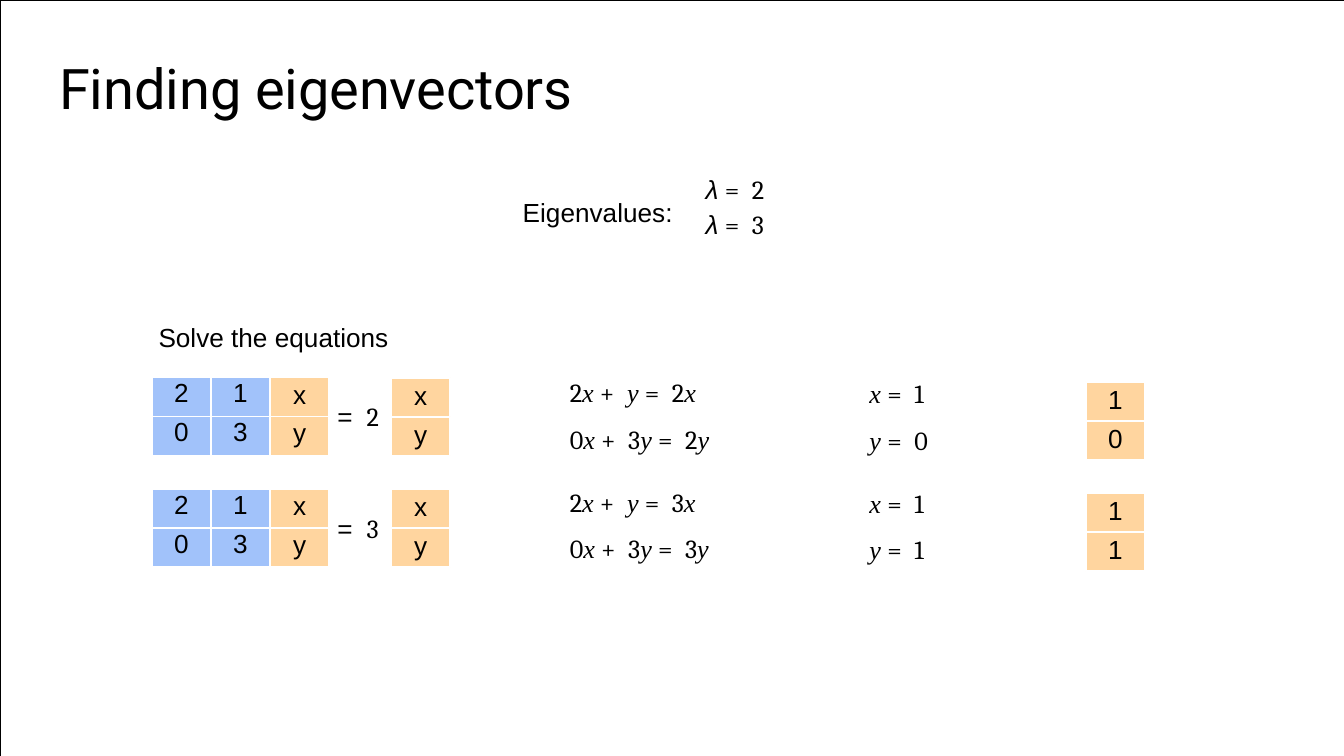
from lxml import etree
from pptx import Presentation
from pptx.dml.color import RGBColor
from pptx.enum import shapes, text
from pptx.oxml import ns
from pptx.util import Inches, Pt

BLACK = RGBColor(0x00, 0x00, 0x00)
WHITE = RGBColor(0xFF, 0xFF, 0xFF)
BLUE = RGBColor(0xA1, 0xC2, 0xFA)
ORANGE = RGBColor(0xFF, 0xD5, 0x9F)

# Content
TITLE = "Finding eigenvectors"
LABELS = [("Eigenvalues:", 3.88, 1.44, 1.14), ("Solve the equations", 1.17, 2.37, 1.74)]
EIGENVALUES = ["λ = 2", "λ = 3"]
MATRIX = [["2", "1", "x"], ["0", "3", "y"]]
UNKNOWNS = ["x", "y"]
CASES = [
    {"scale": "= 2", "equations": ["2x + y = 2x", "0x + 3y = 2y"],
     "solution": ["x = 1", "y = 0"], "vector": ["1", "0"]},
    {"scale": "= 3", "equations": ["2x + y = 3x", "0x + 3y = 3y"],
     "solution": ["x = 1", "y = 1"], "vector": ["1", "1"]},
]

# Grid of the two cases, in inches
CASE_TOP, CASE_PITCH = 2.81, 0.83
CELL_WIDTH, CELL_HEIGHT = 0.44, 0.29
SIZE = 14


def set_font(font, name, size=SIZE):
    font.name = name
    font.size = Pt(size)
    font.color.rgb = BLACK


def set_spacing(run, points):
    run._r.get_or_add_rPr().set("spc", str(round(points * 100)))


def add_box(slide, left, top, width, height, top_inset=0.02):
    frame = slide.shapes.add_textbox(
        Inches(left), Inches(top), Inches(width), Inches(height)).text_frame
    frame.word_wrap = False
    frame.margin_left, frame.margin_top = Inches(0.01), Inches(top_inset)
    frame.margin_right = frame.margin_bottom = 0
    return frame


def add_label(slide, wording, left, top, width):
    paragraph = add_box(slide, left, top, width, 0.26).paragraphs[0]
    paragraph.text = wording
    set_font(paragraph.font, "Arial")


def add_math(paragraph, formula, operator_font="Cambria"):
    """Set letters italic, digits upright and operators widely spaced."""
    tokens = []
    for character in formula:
        if character == " ":
            tokens[-1] += character
        else:
            tokens.append(character)
    for token in tokens:
        symbol = token[0]
        if symbol == "λ":
            name, spacing = "Arial", -0.5
        elif symbol.isalpha():
            name, spacing = "Times New Roman", -0.2
        elif symbol.isdigit():
            name, spacing = "Cambria", -0.2
        else:
            name, spacing = operator_font, 1.8
        run = paragraph.add_run()
        run.text = token
        set_font(run.font, name)
        run.font.italic = symbol.isalpha()
        set_spacing(run, spacing)
    paragraph.font.size = Pt(SIZE)


def next_paragraph(frame, index):
    return frame.add_paragraph() if index else frame.paragraphs[0]


def add_lines(frame, formulas, gaps):
    for index, (formula, gap) in enumerate(zip(formulas, gaps)):
        paragraph = next_paragraph(frame, index)
        if gap:
            paragraph.space_before = Pt(gap)
        add_math(paragraph, formula)


def add_vector(slide, entries, left, top):
    for index, entry in enumerate(entries):
        box = slide.shapes.add_shape(
            shapes.MSO_SHAPE.RECTANGLE, Inches(left), Inches(top + index * CELL_HEIGHT),
            Inches(CELL_WIDTH), Inches(CELL_HEIGHT))
        box.shadow.inherit = False
        box.fill.solid()
        box.fill.fore_color.rgb = ORANGE
        box.line.color.rgb = WHITE
        box.line.width = Pt(1)
        frame = box.text_frame
        frame.margin_left = frame.margin_right = frame.margin_bottom = 0
        frame.margin_top = Inches(0.01)
        frame.vertical_anchor = text.MSO_ANCHOR.TOP
        paragraph = frame.paragraphs[0]
        paragraph.text = entry
        paragraph.alignment = text.PP_ALIGN.CENTER
        set_font(paragraph.font, "Arial")


def set_borders(cell, widths):
    properties = cell._tc.get_or_add_tcPr()
    for side, width in widths.items():
        line = etree.SubElement(properties, ns.qn("a:ln" + side), w=str(Pt(width)))
        fill = etree.SubElement(line, ns.qn("a:solidFill"))
        etree.SubElement(fill, ns.qn("a:srgbClr"), val=str(WHITE))


def add_matrix(slide, left, top):
    rows, columns = len(MATRIX), len(MATRIX[0])
    table = slide.shapes.add_table(
        rows, columns, Inches(left), Inches(top),
        Inches(columns * CELL_WIDTH), Inches(rows * CELL_HEIGHT)).table
    table.first_row = table.horz_banding = False
    for column in table.columns:
        column.width = Inches(CELL_WIDTH)
    for row, entries in zip(table.rows, MATRIX):
        row.height = Inches(CELL_HEIGHT)
        for index, (cell, entry) in enumerate(zip(row.cells, entries)):
            is_unknown = index == columns - 1
            set_borders(cell, {"L": 1.5 if is_unknown else 1,
                               "R": 1.5 if index == columns - 2 else 1, "T": 1, "B": 1})
            cell.fill.solid()
            cell.fill.fore_color.rgb = ORANGE if is_unknown else BLUE
            cell.margin_left = cell.margin_right = cell.margin_bottom = 0
            cell.margin_top = Inches(0.02 if is_unknown else 0.01)
            paragraph = cell.text_frame.paragraphs[0]
            paragraph.text = entry
            paragraph.alignment = text.PP_ALIGN.CENTER
            set_font(paragraph.font, "Arial")


def main():
    # Widescreen slide, 16 to 9
    presentation = Presentation()
    width = Inches(10)
    height = width * 9 // 16
    presentation.slide_width, presentation.slide_height = width, height
    slide = presentation.slides.add_slide(presentation.slide_layouts[5])

    # Thin frame around the slide
    builder = slide.shapes.build_freeform(0, height)
    builder.add_line_segments([(width, height), (width, 0), (0, 0)], close=True)
    border = builder.convert_to_shape()
    border.shadow.inherit = False
    border.fill.background()
    border.line.color.rgb = BLACK
    border.line.width = Pt(0.25)

    # Title
    title = slide.shapes.title
    title.left, title.top = Inches(0.43), Inches(0.39)
    title.width, title.height = Inches(3.87), Inches(0.53)
    frame = title.text_frame
    frame.word_wrap = False
    frame.auto_size = text.MSO_AUTO_SIZE.NONE
    frame.vertical_anchor = text.MSO_ANCHOR.TOP
    frame.margin_left = frame.margin_top = Inches(0.01)
    frame.margin_right = frame.margin_bottom = 0
    paragraph = frame.paragraphs[0]
    paragraph.text = TITLE
    paragraph.alignment = text.PP_ALIGN.LEFT
    set_font(paragraph.font, "Roboto", 30)
    set_spacing(paragraph.runs[0], -0.05)

    # Labels and eigenvalues
    for label in LABELS:
        add_label(slide, *label)
    add_lines(add_box(slide, 5.24, 1.25, 0.47, 0.55, 0.04), EIGENVALUES, [0, 1.9])

    # Matrix equation and eigenvector of each case
    for index, case in enumerate(CASES):
        top = CASE_TOP + index * CASE_PITCH
        add_matrix(slide, 1.13, top)
        scale = add_box(slide, 2.5, top + 0.15, 0.37, 0.26)
        add_math(scale.paragraphs[0], case["scale"], "Arial")
        add_vector(slide, UNKNOWNS, 2.91, top)
        add_vector(slide, case["vector"], 8.08, top + 0.03)

    # Expanded equations, one paragraph for each case
    frame = add_box(slide, 4.23, 2.68, 1.07, 1.53, 0.01)
    for index, case in enumerate(CASES):
        paragraph = next_paragraph(frame, index)
        paragraph.line_spacing = 1.49
        if index:
            paragraph.space_before = Pt(8.5)
        first, second = case["equations"]
        add_math(paragraph, first)
        paragraph.add_line_break()
        add_math(paragraph, second)

    # Solutions
    solutions = [line for case in CASES for line in case["solution"]]
    add_lines(add_box(slide, 6.46, 2.68, 0.47, 1.53, 0.13), solutions, [0, 8.2, 16.8, 8.2])

    presentation.save("out.pptx")


if __name__ == "__main__":
    main()
